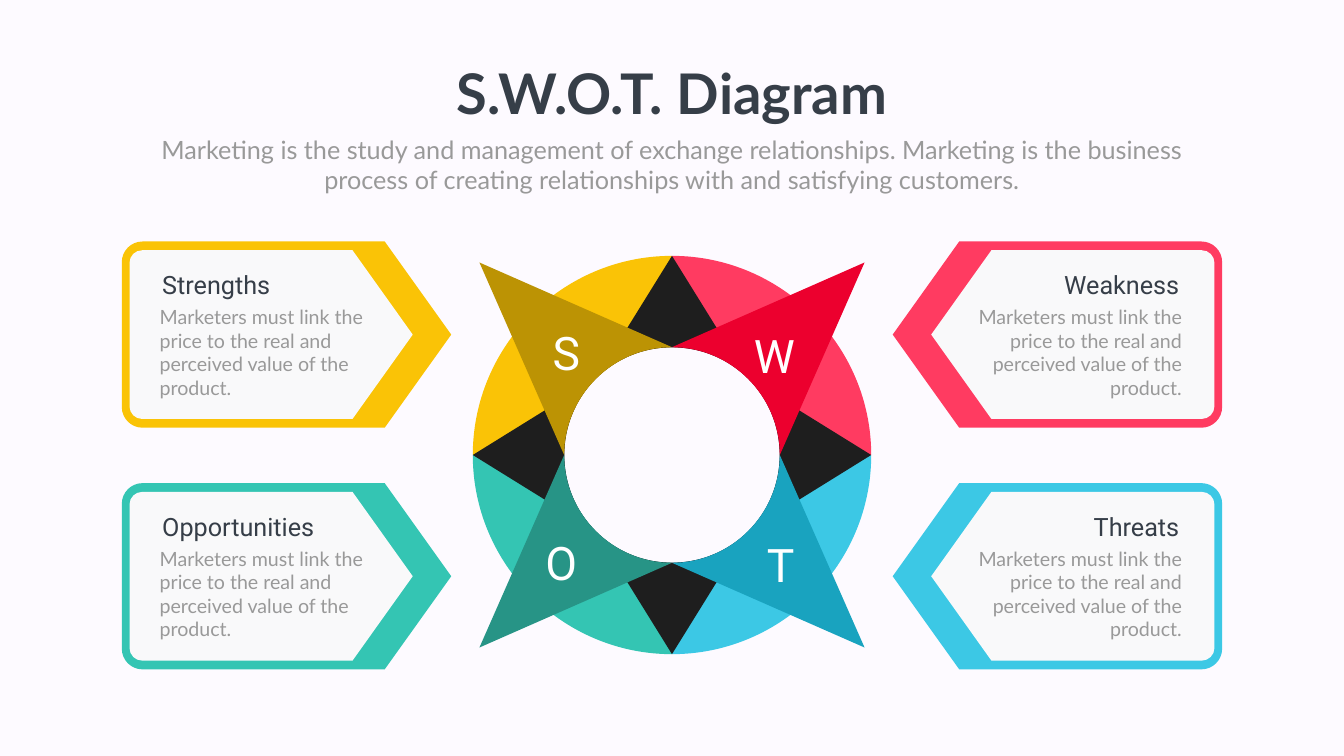
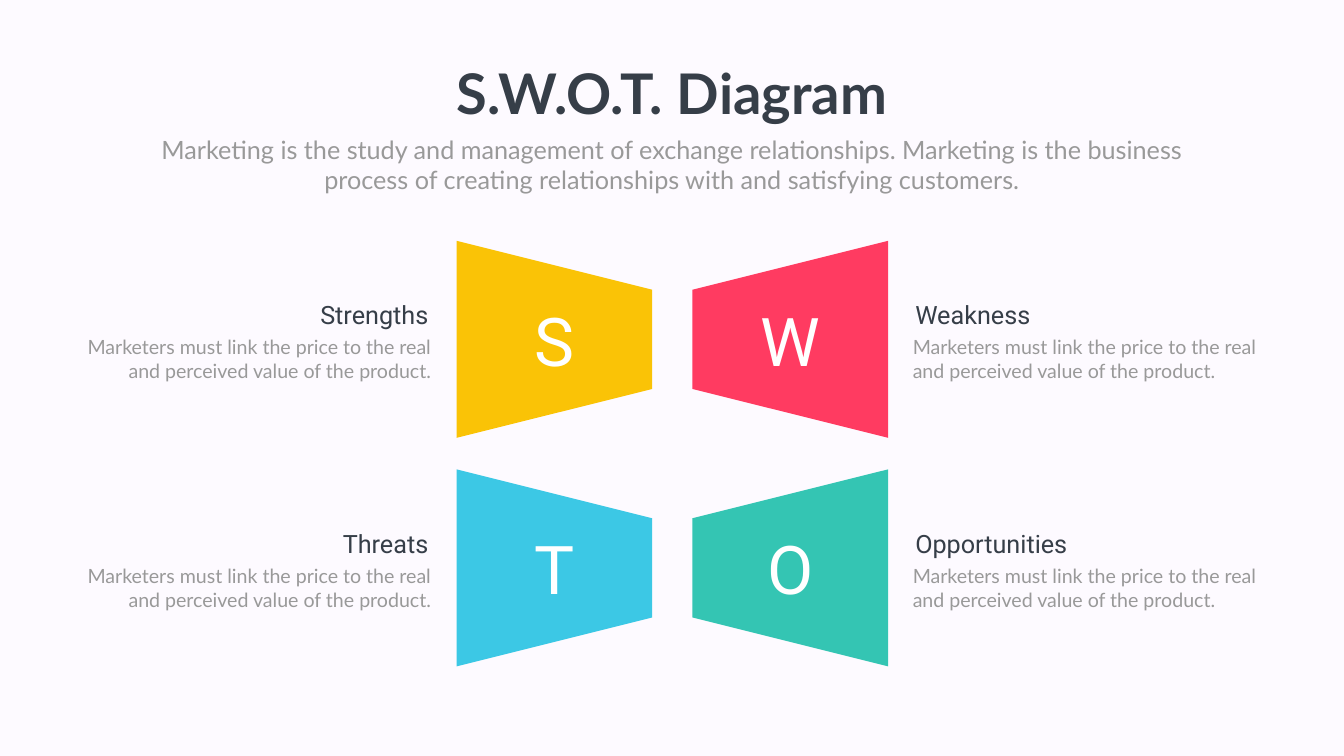
from dataclasses import dataclass
from math import cos, radians, sin

from pptx import Presentation
from pptx.dml.color import RGBColor
from pptx.enum.shapes import MSO_SHAPE
from pptx.enum.text import MSO_AUTO_SIZE as AutoSize, PP_ALIGN as Align
from pptx.oxml.ns import qn
from pptx.util import Pt

COLORS = {
    "background": "FDFAFF", "panel": "F9F9FA", "dark": "1E1E1E", "white": "FFFFFF",
    "heading": "363E48", "body": "999999",
    "yellow": "FAC306", "deep yellow": "BC9304",
    "red": "FF3B61", "deep red": "EC002E",
    "teal": "34C5B3", "deep teal": "279486",
    "blue": "3CC8E5", "deep blue": "19A3BF",
}
WIDTH, HEIGHT = 1919.5, 1080
MIDDLE = WIDTH / 2
RING_Y, RING_RADIUS, HOLE_RADIUS, SPIKE_REACH = 650, 284.5, 154, 275
CARD_TOP, CARD_STEP = 345, 345.25
TRAPEZOID_TOP, TRAPEZOID_STEP = 345, 326.5
QUARTER_HANDLE = 0.55
BODY = "Marketers must link the price to the real and perceived value of the product."
SUBTITLE = (
    "Marketing is the study and management of exchange relationships. Marketing is "
    "the business process of creating relationships with and satisfying customers."
)

Point = tuple[float, float]
Segment = list[Point]


@dataclass(frozen=True)
class Topic:
    name: str
    color: str

    @property
    def letter(self) -> str:
        return self.name[0]


@dataclass(frozen=True)
class Style:
    font: str
    size: float
    color: str
    bold: bool = False


@dataclass(frozen=True)
class Box:
    left: float
    top: float
    width: float
    height: float


@dataclass(frozen=True)
class CardOutline:
    left: float
    shoulder: float
    tip: float
    inset: float
    radius: float
    height: float


@dataclass(frozen=True)
class Quadrant:
    topic: Topic
    column: int
    row: int
    start: float
    letter_left: float
    letter_top: float


STRENGTHS = Topic("Strengths", "yellow")
WEAKNESS = Topic("Weakness", "red")
OPPORTUNITIES = Topic("Opportunities", "teal")
THREATS = Topic("Threats", "blue")

QUADRANTS = [
    Quadrant(STRENGTHS, 0, 0, 180, 749, 460),
    Quadrant(WEAKNESS, 1, 0, 270, 1046, 463.5),
    Quadrant(OPPORTUNITIES, 0, 1, 90, 741.5, 759.5),
    Quadrant(THREATS, 1, 1, 0, 1055, 763),
]
TRAPEZOIDS = [[STRENGTHS, WEAKNESS], [THREATS, OPPORTUNITIES]]

TITLE_STYLE = Style("Lato", 80, "heading", True)
SUBTITLE_STYLE = Style("Lato", 36, "body")
HEADING_STYLE = Style("Roboto", 36, "heading")
BODY_STYLE = Style("Lato", 28, "body")
RING_LETTER_STYLE = Style("Roboto", 66, "white")
LARGE_LETTER_STYLE = Style("Roboto", 96, "white")

CARD_FRAME = CardOutline(174, 549.5, 644.5, 0, 29.5, 266)
CARD_PANEL = CardOutline(185, 503.5, 589.5, 12.5, 18, 241)


def rgb(name: str) -> RGBColor:
    return RGBColor.from_string(COLORS[name])


def paint(shape, color: str) -> None:
    shape.shadow.inherit = False
    shape.fill.solid()
    shape.fill.fore_color.rgb = rgb(color)
    shape.line.fill.background()


def on_circle(center: Point, radius: float, angle: float) -> Point:
    return center[0] + radius * cos(radians(angle)), center[1] + radius * sin(radians(angle))


def quarter_arc(center: Point, radius: float, start: float, turn: int = 1) -> list[Segment]:
    end = start + 90 * turn
    first, last = on_circle(center, radius, start), on_circle(center, radius, end)
    handle = radius * QUARTER_HANDLE
    return [[first], [on_circle(first, handle, end), on_circle(last, handle, start), last]]


def add_outline(slide, segments: list[Segment], color: str) -> None:
    corners = [(Pt(x), Pt(y)) for segment in segments for x, y in segment]
    builder = slide.shapes.build_freeform(*corners[0])
    builder.add_line_segments(corners[1:], close=True)
    shape = builder.convert_to_shape()
    lines = iter(list(shape._element.iter(qn("a:lnTo"))))
    for segment in segments[1:]:
        curve, *handles = [next(lines) for _ in segment]
        if handles:
            curve.tag = qn("a:cubicBezTo")
        for line in handles:
            curve.append(line[0])
            line.getparent().remove(line)
    paint(shape, color)


def add_text(slide, box: Box, text: str, style: Style, align: Align, wrap: bool = True) -> None:
    shape = slide.shapes.add_textbox(Pt(box.left), Pt(box.top), Pt(box.width), Pt(box.height))
    frame = shape.text_frame
    frame.word_wrap = wrap
    frame.auto_size = AutoSize.SHAPE_TO_FIT_TEXT
    paragraph = frame.paragraphs[0]
    paragraph.alignment = align
    run = paragraph.add_run()
    run.text = text
    run.font.name = style.font
    run.font.size = Pt(style.size)
    run.font.bold = style.bold
    run.font.color.rgb = rgb(style.color)


def add_caption(slide, topic: Topic, body: Box, align: Align) -> None:
    heading_width, heading_height, indent = 257, 51, 3.6
    left = body.left + indent
    if align == Align.RIGHT:
        left = body.left + body.width - heading_width - indent
    add_text(slide, body, BODY, BODY_STYLE, align)
    heading = Box(left, body.top - heading_height, heading_width, heading_height)
    add_text(slide, heading, topic.name, HEADING_STYLE, align)


def add_swot_slide(presentation):
    slide = presentation.slides.add_slide(presentation.slide_layouts[6])
    slide.background.fill.solid()
    slide.background.fill.fore_color.rgb = rgb("background")
    add_text(slide, Box(633.5, 80.5, 653, 104.5), "S.W.O.T. Diagram", TITLE_STYLE, Align.CENTER, False)
    add_text(slide, Box(210, 188, 1499, 94.5), SUBTITLE, SUBTITLE_STYLE, Align.CENTER)
    return slide


def add_card_outline(slide, outline: CardOutline, quadrant: Quadrant, color: str) -> None:
    top = CARD_TOP + quadrant.row * CARD_STEP + outline.inset
    bottom = top + outline.height
    corner_x = outline.left + outline.radius
    segments = [
        [(outline.shoulder, top)],
        [(outline.tip, (top + bottom) / 2)],
        [(outline.shoulder, bottom)],
        *quarter_arc((corner_x, bottom - outline.radius), outline.radius, 90),
        *quarter_arc((corner_x, top + outline.radius), outline.radius, 180),
    ]
    if quadrant.column:
        segments = [[(WIDTH - x, y) for x, y in segment] for segment in segments]
    add_outline(slide, segments, color)


def build_ring_slide(presentation) -> None:
    slide = add_swot_slide(presentation)
    center = (MIDDLE, RING_Y)
    for quadrant in QUADRANTS:
        add_card_outline(slide, CARD_FRAME, quadrant, quadrant.topic.color)
        add_card_outline(slide, CARD_PANEL, quadrant, "panel")

    for quadrant in QUADRANTS:
        sector = quarter_arc(center, RING_RADIUS, quadrant.start)
        sector += quarter_arc(center, HOLE_RADIUS, quadrant.start + 90, -1)
        add_outline(slide, sector, quadrant.topic.color)
    for angle in range(0, 360, 90):
        tip = on_circle(center, RING_RADIUS, angle)
        add_outline(slide, [[tip], *quarter_arc(center, HOLE_RADIUS, angle - 45)], "dark")
    for quadrant in QUADRANTS:
        tip = (
            MIDDLE + SPIKE_REACH * (2 * quadrant.column - 1),
            RING_Y + SPIKE_REACH * (2 * quadrant.row - 1),
        )
        spike = [[tip], *quarter_arc(center, HOLE_RADIUS, quadrant.start)]
        add_outline(slide, spike, f"deep {quadrant.topic.color}")

    for quadrant in QUADRANTS:
        letter = Box(quadrant.letter_left, quadrant.letter_top, 120, 87)
        add_text(slide, letter, quadrant.topic.letter, RING_LETTER_STYLE, Align.CENTER)
        left, align = [(221, Align.LEFT), (1365, Align.RIGHT)][quadrant.column]
        body = Box(left, 432 + quadrant.row * CARD_STEP, 330, 143)
        add_caption(slide, quadrant.topic, body, align)


def build_trapezoid_slide(presentation) -> None:
    slide = add_swot_slide(presentation)
    width, height = 281.5, 279.5
    columns = [(651, 90, 111.5, Align.RIGHT), (988, 270, 1296.5, Align.LEFT)]
    for row, topics in enumerate(TRAPEZOIDS):
        drop = row * TRAPEZOID_STEP
        for topic, (left, rotation, body_left, align) in zip(topics, columns):
            top = TRAPEZOID_TOP + drop
            shape = slide.shapes.add_shape(
                MSO_SHAPE.TRAPEZOID, Pt(left), Pt(top), Pt(width), Pt(height)
            )
            shape.rotation = rotation
            paint(shape, topic.color)
            letter = Box(left + (width - 120) / 2, 423.5 + drop, 120, 124)
            add_text(slide, letter, topic.letter, LARGE_LETTER_STYLE, Align.CENTER)
            add_caption(slide, topic, Box(body_left, 475.5 + drop, 511, 75), align)


def main() -> None:
    presentation = Presentation()
    presentation.slide_width = Pt(WIDTH)
    presentation.slide_height = Pt(HEIGHT)
    build_ring_slide(presentation)
    build_trapezoid_slide(presentation)
    presentation.save("out.pptx")


if __name__ == "__main__":
    main()
